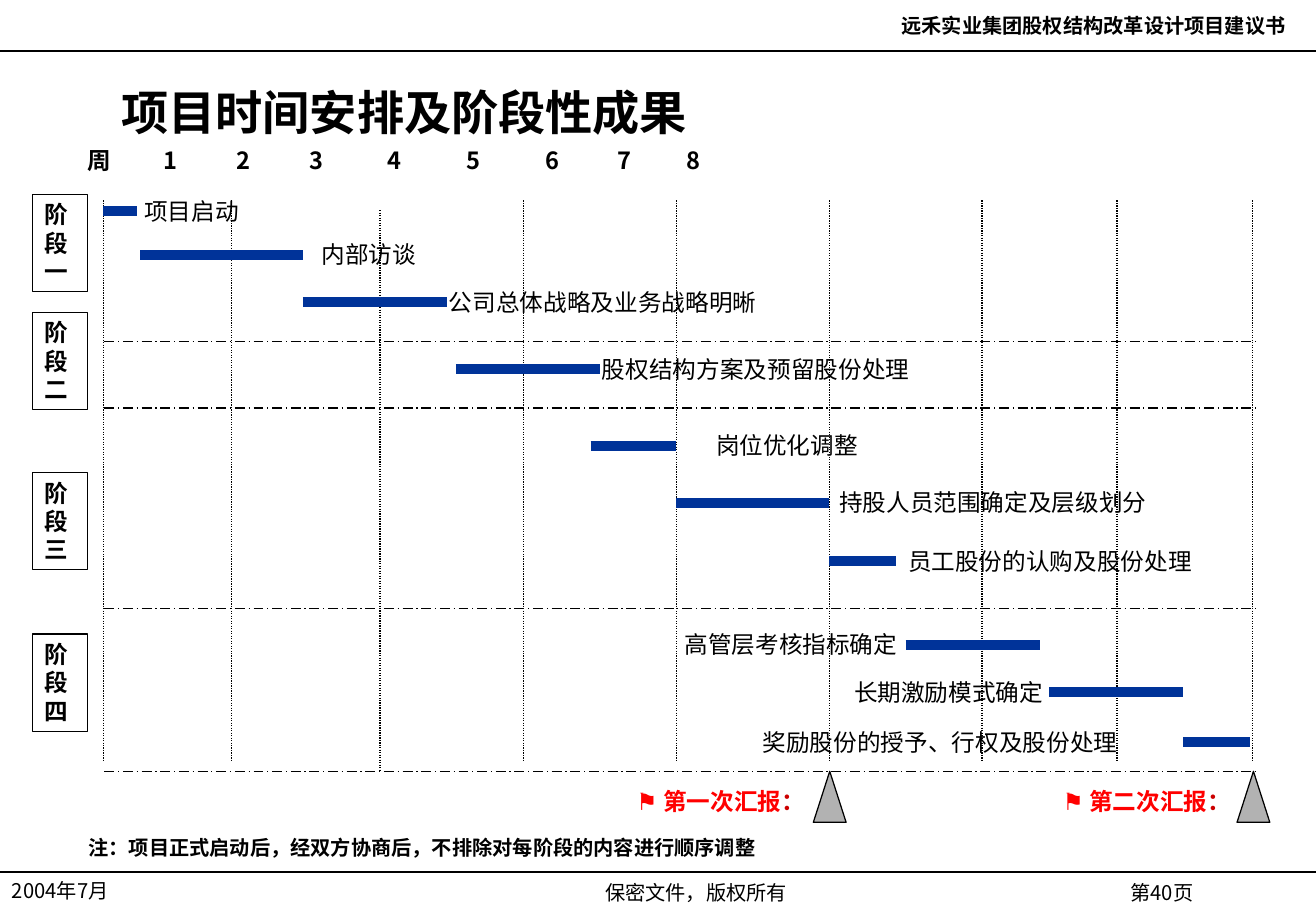
from pptx import Presentation
from pptx.dml.color import RGBColor
from pptx.enum.dml import MSO_LINE
from pptx.enum.shapes import MSO_CONNECTOR, MSO_SHAPE
from pptx.enum.text import MSO_ANCHOR, PP_ALIGN
from pptx.oxml.ns import qn
from pptx.util import Inches, Pt
from lxml.etree import SubElement

WIDTH, HEIGHT = 10.84, 7.5
SANS, SERIF, SYMBOL = "Noto Sans CJK SC", "Times New Roman", "Arial"
BLACK, BLUE, GREY, RED, DARK_RED = "000000", "003399", "B2B2B2", "FF0000", "CC0000"
LEFT, CENTER, RIGHT = PP_ALIGN.LEFT, PP_ALIGN.CENTER, PP_ALIGN.RIGHT

TITLE = "项目时间安排及阶段性成果"
FRAME_TEXTS = [
    ("远禾实业集团股权结构改革设计项目建议书", 6.9, 0.06, 3.79, RIGHT, SANS, True),
    ("2004年7月", 0, 7.18, 1.81, LEFT, SANS, False),
    ("保密文件，版权所有", 2.8, 7.2, 5.87, CENTER, SERIF, False),
    ("第40页", 8.76, 7.2, 1.62, CENTER, SANS, False),
    ("注：项目正式启动后，经双方协商后，不排除对每阶段的内容进行顺序调整",
     0.63, 6.83, 7.31, LEFT, SANS, True),
]
FRAME_RULES = [0.42, 7.18]

WEEK_HEADER = ["周", "1", "2", "3", "4", "5", "6", "7", "8"]
HEADER_LEFT = 0.62
HEADER_TABS = [0.69, 1.29, 1.89, 2.53, 3.18, 3.83, 4.43, 4.99]

WEEK_LINES = [0.85, 1.91, 3.13, 4.31, 5.57, 6.83, 8.09, 9.2, 10.32]
CHART_TOP, CHART_BOTTOM = 1.65, 6.27
LOWERED_WEEK, LOWERED_BY = 2, 0.08
STAGE_RULES = [2.81, 3.36, 5.01, 6.35]
STAGES = [("阶段 一", 1.6), ("阶段 二", 2.57), ("阶段三", 3.89), ("阶段四", 5.22)]

TASKS = [
    ("项目启动", 0, 0.26, 1.74, 1.09, 1.18, LEFT),
    ("内部访谈", 0.29, 1.48, 2.1, 2.55, 1.21, LEFT),
    ("公司总体战略及业务战略明晰", 1.48, 2.47, 2.49, 3.6, 3.32, LEFT),
    ("股权结构方案及预留股份处理", 2.53, 3.5, 3.04, 4.86, 2.93, LEFT),
    ("岗位优化调整", 3.44, 4, 3.67, 5.8, 1.43, LEFT),
    ("持股人员范围确定及层级划分", 4, 5, 4.14, 6.76, 2.84, CENTER),
    ("员工股份的认购及股份处理", 5, 5.44, 4.62, 7.23, 2.84, CENTER),
    ("高管层考核指标确定", 5.5, 6.43, 5.31, 5.49, 2.05, CENTER),
    ("长期激励模式确定", 6.5, 7.49, 5.7, 6.75, 2.13, CENTER),
    ("奖励股份的授予、行权及股份处理", 7.49, 7.98, 6.11, 6.13, 3.23, CENTER),
]
REPORTS = [("第一次汇报", 5, 4.66), ("第二次汇报", 8, 8.17)]
ROW_HEIGHT = 0.34


def color(value):
    return RGBColor.from_string(value)


def week_position(week):
    index = min(int(week), len(WEEK_LINES) - 2)
    start, end = WEEK_LINES[index:index + 2]
    return start + (week - index) * (end - start)


def add_span(para, text, size, font=SANS, bold=False, ink=BLACK):
    span = para.add_run()
    span.text = text
    span.font.size = Pt(size)
    span.font.bold = bold
    span.font.name = font
    span.font.color.rgb = color(ink)
    asian = SubElement(span.font._element, qn("a:ea"))
    asian.set("typeface", SANS if font == SERIF else font)


def prepare(shape, align=LEFT, anchor=MSO_ANCHOR.TOP):
    frame = shape.text_frame
    frame.word_wrap = True
    frame.vertical_anchor = anchor
    frame.margin_left = frame.margin_right = Inches(0.1)
    frame.margin_top = frame.margin_bottom = Inches(0.05)
    para = frame.paragraphs[0]
    para.alignment = align
    return para


def add_text(page, left, top, width, height, align=LEFT):
    box = page.shapes.add_textbox(Inches(left), Inches(top), Inches(width), Inches(height))
    return prepare(box, align)


def add_line(page, start, end, ink=BLACK, weight=0.75, dash=None):
    line = page.shapes.add_connector(
        MSO_CONNECTOR.STRAIGHT, *(Inches(value) for value in start + end))
    line.line.color.rgb = color(ink)
    line.line.width = Pt(weight)
    if dash:
        line.line.dash_style = dash
    SubElement(line._element.spPr, qn("a:effectLst"))


def add_outline(page, kind, left, top, width, height, fill=None):
    shape = page.shapes.add_shape(
        kind, Inches(left), Inches(top), Inches(width), Inches(height))
    shape.shadow.inherit = False
    shape.line.color.rgb = color(BLACK)
    shape.line.width = Pt(0.75)
    if fill:
        shape.fill.solid()
        shape.fill.fore_color.rgb = color(fill)
    else:
        shape.fill.background()
    return shape


def add_frame(page):
    for top in FRAME_RULES:
        add_line(page, (0, top), (WIDTH, top))
    for text, left, top, width, align, font, bold in FRAME_TEXTS:
        add_span(add_text(page, left, top, width, 0.3, align), text, 12, font, bold)
    title = page.shapes.title
    title.left, title.top = Inches(0.9), Inches(0.5)
    title.width, title.height = Inches(9.21), Inches(0.83)
    add_span(prepare(title, LEFT, MSO_ANCHOR.MIDDLE), TITLE, 28, bold=True)


def add_week_header(page):
    para = add_text(page, HEADER_LEFT, 1.15, 10, ROW_HEIGHT)
    tabs = SubElement(para._p.get_or_add_pPr(), qn("a:tabLst"))
    for position in HEADER_TABS:
        SubElement(tabs, qn("a:tab"), pos=str(Inches(position)), algn="ctr")
    add_span(para, "\t".join(WEEK_HEADER), 14, bold=True)


def add_grid(page):
    for week, left in enumerate(WEEK_LINES):
        shift = LOWERED_BY if week == LOWERED_WEEK else 0
        add_line(page, (left, CHART_TOP + shift), (left, CHART_BOTTOM + shift),
                 dash=MSO_LINE.ROUND_DOT)
    for top in STAGE_RULES:
        add_line(page, (0.86, top), (10.35, top), dash=MSO_LINE.LONG_DASH_DOT)
    for name, top in STAGES:
        stage = add_outline(page, MSO_SHAPE.RECTANGLE, 0.27, top, 0.45, 0.8)
        add_span(prepare(stage), name, 14, bold=True)


def add_tasks(page):
    for name, start, end, middle, left, width, align in TASKS:
        add_line(page, (week_position(start), middle), (week_position(end), middle), BLUE, 6)
        para = add_text(page, left, middle - ROW_HEIGHT / 2, width, ROW_HEIGHT, align)
        add_span(para, name, 14)


def add_reports(page):
    for name, week, left in REPORTS:
        add_outline(page, MSO_SHAPE.ISOSCELES_TRIANGLE,
                    week_position(week) - 0.13, STAGE_RULES[-1], 0.27, 0.42, GREY)
        para = add_text(page, left, 6.43, 2.6, ROW_HEIGHT, CENTER)
        add_span(para, "⚑", 14, SYMBOL, True, RED)
        add_span(para, " " + name, 14, SANS, True, RED)
        add_span(para, "： ", 14, SANS, True, DARK_RED)


def main():
    deck = Presentation()
    deck.slide_width, deck.slide_height = Inches(WIDTH), Inches(HEIGHT)
    page = deck.slides.add_slide(deck.slide_layouts[5])
    add_frame(page)
    add_week_header(page)
    add_grid(page)
    add_tasks(page)
    add_reports(page)
    deck.save("out.pptx")


if __name__ == "__main__":
    main()
